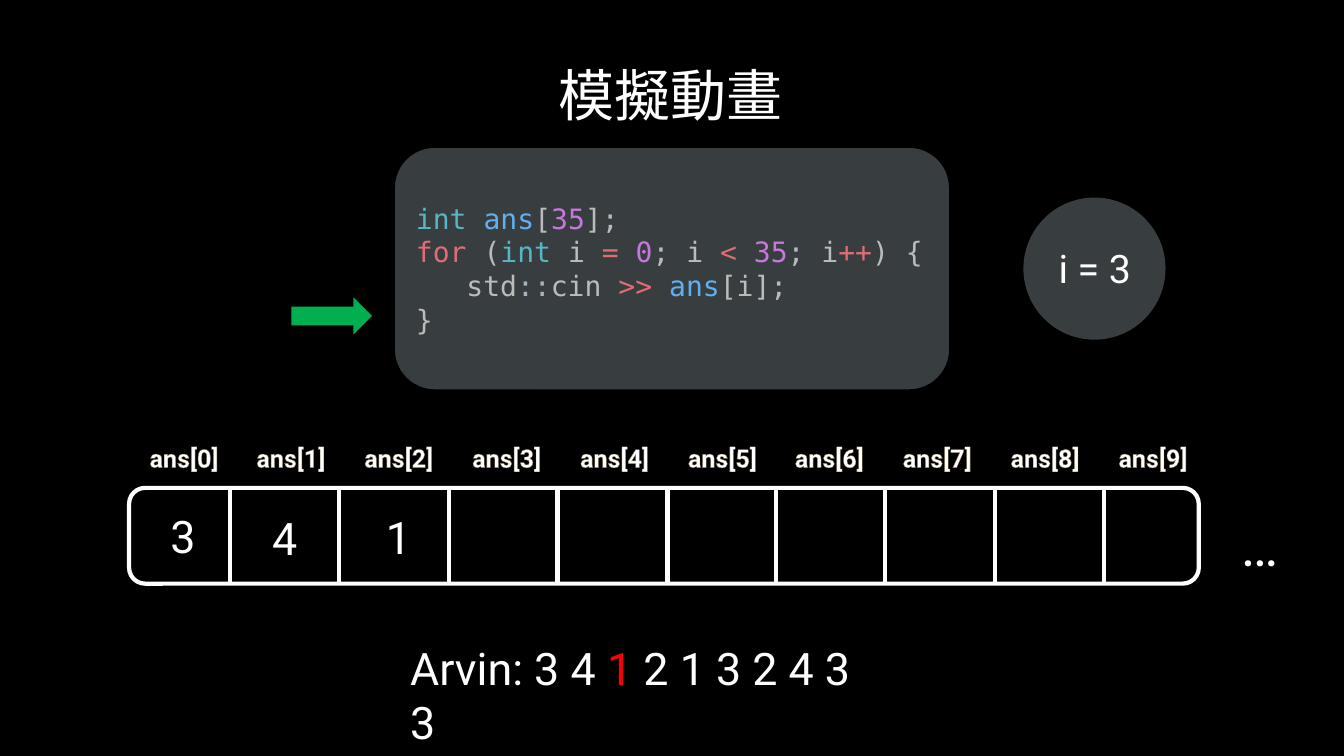
from dataclasses import dataclass

from lxml.etree import SubElement
from pptx import Presentation
from pptx.dml.color import RGBColor
from pptx.enum.shapes import MSO_CONNECTOR as Connector, MSO_SHAPE as Shape
from pptx.enum.text import MSO_ANCHOR as Anchor, MSO_AUTO_SIZE as AutoSize, PP_ALIGN as Align
from pptx.oxml.ns import qn
from pptx.util import Pt

PX = 9144  # EMU in one px, 100 px to the inch


@dataclass(frozen=True)
class Theme:
    back: str = "000000"
    white: str = "FFFFFF"
    panel: str = "383E40"
    green: str = "00B050"
    red: str = "FF0000"
    edge: str = "87795D"
    kind: str = "56B6C2"
    name: str = "61AFEF"
    plain: str = "BBBBBB"
    colons: str = "ABB2BF"
    number: str = "C678DD"
    keyword: str = "E06C75"
    sans: str = "Roboto"
    mono: str = "DejaVu Sans Mono"
    title: int = 40
    value: int = 32
    counter: int = 28
    code: int = 20
    label: int = 18


T = Theme()


def rgb(color):
    return RGBColor.from_string(color)


class Board:
    def __init__(self, prs, theme):
        self.theme = theme
        self.slide = prs.slides.add_slide(prs.slide_layouts[6])
        self.shapes = self.slide.shapes
        fill = self.slide.background.fill
        fill.solid()
        fill.fore_color.rgb = rgb(theme.back)

    def start_group(self):
        self.shapes = self.slide.shapes.add_group_shape().shapes

    def end_group(self):
        self.shapes = self.slide.shapes

    def shape(self, kind, box, fill=None, line=None, width=1):
        sp = self.shapes.add_shape(kind, *(v * PX for v in box))
        sp.shadow.inherit = False
        if fill:
            sp.fill.solid()
            sp.fill.fore_color.rgb = rgb(fill)
        else:
            sp.fill.background()
        if line:
            sp.line.color.rgb = rgb(line)
            sp.line.width = Pt(width)
        else:
            sp.line.fill.background()
        return sp

    def divider(self, x, top, bottom, width):
        cx = self.shapes.add_connector(Connector.STRAIGHT, x * PX, top * PX, x * PX, bottom * PX)
        cx.line.color.rgb = rgb(self.theme.white)
        cx.line.width = Pt(width)
        SubElement(cx._element.spPr, qn("a:effectLst"))

    def add_runs(self, p, runs, size, font=None, bold=None):
        """Add (text, colour) runs to a paragraph."""
        style = {"size": Pt(size), "name": font or self.theme.sans, "bold": bold}
        for text, color in runs:
            r = p.add_run()
            r.text = text
            for key, value in style.items():
                setattr(r.font, key, value)
            r.font.color.rgb = rgb(color)

    def text(self, box, runs, size, wrap=False, align=Align.LEFT, bold=None):
        if isinstance(runs, str):
            runs = [(runs, self.theme.white)]
        tf = self.shapes.add_textbox(*(v * PX for v in box)).text_frame
        for key, value in {"word_wrap": wrap, "auto_size": AutoSize.SHAPE_TO_FIT_TEXT}.items():
            setattr(tf, key, value)
        p = tf.paragraphs[0]
        p.alignment = align
        self.add_runs(p, runs, size, bold=bold)
        return p

    def label(self, box, text):
        """Bold centred text with a thin outline."""
        p = self.text(box, text, self.theme.label, True, Align.CENTER, True)
        rPr = p.runs[0].font._element
        ln = SubElement(rPr, qn("a:ln"), w=str(Pt(0.8)))
        SubElement(SubElement(ln, qn("a:solidFill")), qn("a:srgbClr"), val=self.theme.edge)
        rPr.insert(0, ln)

    def code(self, box, lines):
        """Panel of code; each line is an indent in px and its runs."""
        sp = self.shape(Shape.ROUNDED_RECTANGLE, box, self.theme.panel, self.theme.back)
        tf = sp.text_frame
        tf.vertical_anchor = Anchor.MIDDLE
        for n, (indent, runs) in enumerate(lines):
            p = tf.add_paragraph() if n else tf.paragraphs[0]
            p.alignment = Align.LEFT
            p._p.get_or_add_pPr().set("marL", str(indent * PX))
            self.add_runs(p, runs, self.theme.code, self.theme.mono)


CODE = [
    (0, [("int ", T.kind), ("ans", T.name), ("[", T.plain), ("35", T.number), ("];", T.plain)]),
    (0, [("for", T.keyword), (" (", T.plain), ("int ", T.kind), ("i ", T.plain),
         ("= ", T.keyword), ("0", T.number), ("; i ", T.plain), ("< ", T.keyword),
         ("35", T.number), ("; i", T.plain), ("++", T.keyword), (") {", T.plain)]),
    (50, [("std", T.plain), ("::", T.colons), ("cin ", T.plain), (">> ", T.keyword),
          ("ans", T.name), ("[i];", T.plain)]),
    (0, [("}", T.plain)]),
]
CELLS = 10
TOP, HEIGHT, BORDER = 484, 95, 3
VALUES = [("3", 159, 500), ("4", 260, 502), ("1", 373, 501)]


def main():
    prs = Presentation()
    prs.slide_width, prs.slide_height = 1333 * PX, 750 * PX
    board = Board(prs, T)

    board.text((544, 55, 245, 77), "模擬動畫", T.title)
    board.code((391, 146, 551, 241), CODE)
    board.shape(Shape.RIGHT_ARROW, (289, 295, 80, 37), T.green)

    board.start_group()
    board.shape(Shape.ROUNDED_RECTANGLE, (128, TOP, 1061, HEIGHT), line=T.white, width=BORDER)
    for i in range(CELLS - 1):
        board.divider(round(228 + 108.4 * i), TOP, TOP + HEIGHT, BORDER)
    for i in range(CELLS):
        board.label((round(106.6 + 106.8 * i), 434, 151, 40), f"ans[{i}]")
    board.text((1221, 502, 76, 77), "…", T.title)
    board.end_group()

    arvin = [("Arvin: 3 4 ", T.white), ("1", T.red), (" 2 1 3 2 4 3 3", T.white)]
    board.text((397, 631, 486, 64), arvin, T.value, wrap=True)
    board.shape(Shape.OVAL, (1015, 196, 141, 141), T.panel)
    board.text((1040, 237, 92, 57), "i = 3", T.counter)
    for value, x, y in VALUES:
        board.text((x, y, 45, 64), value, T.value)

    prs.save("out.pptx")


if __name__ == "__main__":
    main()
